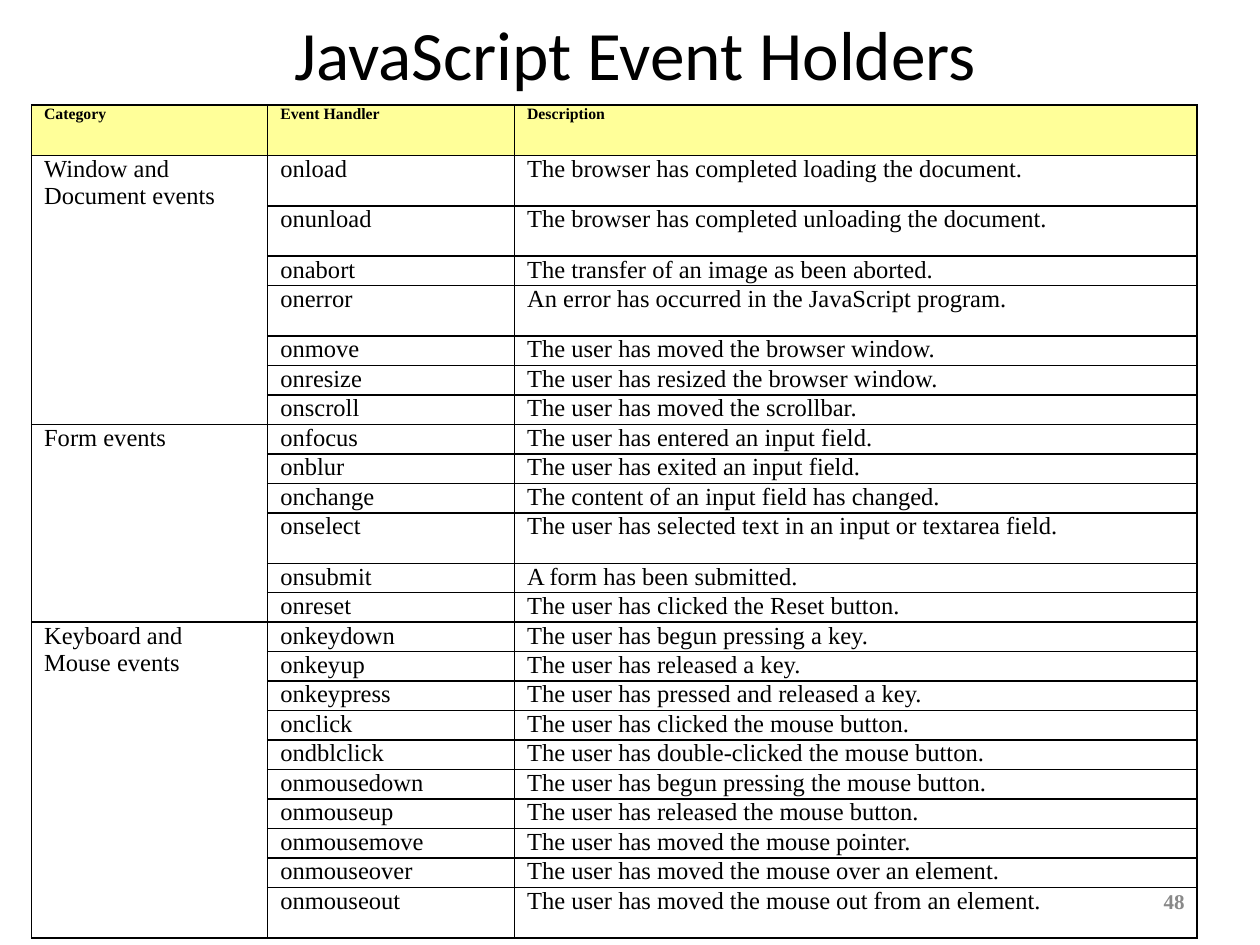
from lxml.etree import SubElement
from pptx import Presentation
from pptx.dml.color import RGBColor
from pptx.enum.text import MSO_ANCHOR, PP_ALIGN
from pptx.oxml.ns import qn
from pptx.util import Inches, Pt

COLORS = {"ink": "000000", "header": "FFFF99", "number": "898989", "paper": "FFFFFF"}
FORMATS = {
    "title": {"name": "Calibri", "size": Pt(39.6), "bold": False},
    "number": {"name": "Times New Roman", "size": Pt(12), "bold": True},
    "header": {"name": "Times New Roman", "size": Pt(9), "bold": True},
    "body": {"name": "Times New Roman", "size": Pt(14), "bold": False},
}
UNIT = Inches(10) / 120  # the slide is a grid of 120 columns by 90 rows
TALL, SHORT = 4.8, 2.8  # table row heights in grid rows
COLUMNS = (22.5, 23.5, 65)
HEADINGS = ("Category", "Event Handler", "Description")
TALL_EVENTS = {"onload", "onunload", "onerror", "onselect", "onmouseout"}
EVENTS = {
    "Window and Document events": [
        ("onload", "The browser has completed loading the document."),
        ("onunload", "The browser has completed unloading the document."),
        ("onabort", "The transfer of an image as been aborted."),
        ("onerror", "An error has occurred in the JavaScript program."),
        ("onmove", "The user has moved the browser window."),
        ("onresize", "The user has resized the browser window."),
        ("onscroll", "The user has moved the scrollbar."),
    ],
    "Form events": [
        ("onfocus", "The user has entered an input field."),
        ("onblur", "The user has exited an input field."),
        ("onchange", "The content of an input field has changed."),
        ("onselect", "The user has selected text in an input or textarea field."),
        ("onsubmit", "A form has been submitted."),
        ("onreset", "The user has clicked the Reset button."),
    ],
    "Keyboard and Mouse events": [
        ("onkeydown", "The user has begun pressing a key."),
        ("onkeyup", "The user has released a key."),
        ("onkeypress", "The user has pressed and released a key."),
        ("onclick", "The user has clicked the mouse button."),
        ("ondblclick", "The user has double-clicked the mouse button."),
        ("onmousedown", "The user has begun pressing the mouse button."),
        ("onmouseup", "The user has released the mouse button."),
        ("onmousemove", "The user has moved the mouse pointer."),
        ("onmouseover", "The user has moved the mouse over an element."),
        ("onmouseout", "The user has moved the mouse out from an element."),
    ],
}


def grid(*counts):
    return [round(count * UNIT) for count in counts]


class EventSlide:
    def __init__(self, deck):
        self.slide = deck.slides.add_slide(deck.slide_layouts[5])
        fill = self.slide.background.fill
        fill.solid()
        fill.fore_color.rgb = RGBColor.from_string(COLORS["paper"])

    def label(self, frame, text, style, color="ink", align=PP_ALIGN.LEFT):
        paragraph = frame.paragraphs[0]
        paragraph.alignment = align
        run = paragraph.add_run()
        run.text = text
        for key, value in FORMATS[style].items():
            setattr(run.font, key, value)
        run.font.color.rgb = RGBColor.from_string(COLORS[color])

    def title(self, text, *box):
        heading = self.slide.shapes.title
        heading.left, heading.top, heading.width, heading.height = grid(*box)
        heading.text_frame.vertical_anchor = MSO_ANCHOR.MIDDLE
        self.label(heading.text_frame, text, "title", align=PP_ALIGN.CENTER)

    def page_number(self, text, *box):
        frame = self.slide.shapes.add_textbox(*grid(*box)).text_frame
        frame.word_wrap = True
        frame.vertical_anchor = MSO_ANCHOR.MIDDLE
        self.label(frame, text, "number", "number", PP_ALIGN.RIGHT)

    def border(self, cell):
        properties = cell._tc.get_or_add_tcPr()
        for side in ("a:lnL", "a:lnR", "a:lnT", "a:lnB"):
            line = SubElement(properties, qn(side), w=str(Pt(1)))
            SubElement(SubElement(line, qn("a:solidFill")), qn("a:srgbClr"), val=COLORS["ink"])

    def cell(self, cell, text, style):
        margins = {"margin_left": Inches(0.1), "margin_right": Inches(0.1),
                   "margin_top": 0, "margin_bottom": 0}
        for key, value in margins.items():
            setattr(cell, key, value)
        self.border(cell)
        if style == "header":
            cell.fill.solid()
            cell.fill.fore_color.rgb = RGBColor.from_string(COLORS["header"])
        else:
            cell.fill.background()
        if text:
            self.label(cell.text_frame, text, style)
        else:  # keep covered cells from stretching their rows
            SubElement(cell.text_frame.paragraphs[0]._p, qn("a:endParaRPr"), sz="900")

    def event_table(self, left, top):
        rows = [HEADINGS]
        for category, events in EVENTS.items():
            rows += [("" if i else category, *event) for i, event in enumerate(events)]
        heights = [TALL if i == 0 or row[1] in TALL_EVENTS else SHORT
                   for i, row in enumerate(rows)]
        table = self.slide.shapes.add_table(
            len(rows), len(COLUMNS), *grid(left, top, sum(COLUMNS), sum(heights))).table
        table.first_row = table.horz_banding = False
        for column, width in zip(table.columns, grid(*COLUMNS)):
            column.width = width
        for r, (texts, height) in enumerate(zip(rows, grid(*heights))):
            table.rows[r].height = height
            for c, text in enumerate(texts):
                self.cell(table.cell(r, c), text, "body" if r else "header")
        # One category cell spans all of its events
        first = 1
        for events in EVENTS.values():
            last = first + len(events) - 1
            table.cell(first, 0).merge(table.cell(last, 0))
            first = last + 1


def main():
    deck = Presentation()
    deck.slide_width, deck.slide_height = grid(120, 90)
    page = EventSlide(deck)
    page.title("JavaScript Event Holders", 15, 2, 91, 6)
    page.page_number("48", 86, 83.4, 28, 4.8)
    page.event_table(3, 10)
    deck.save("out.pptx")


if __name__ == "__main__":
    main()
